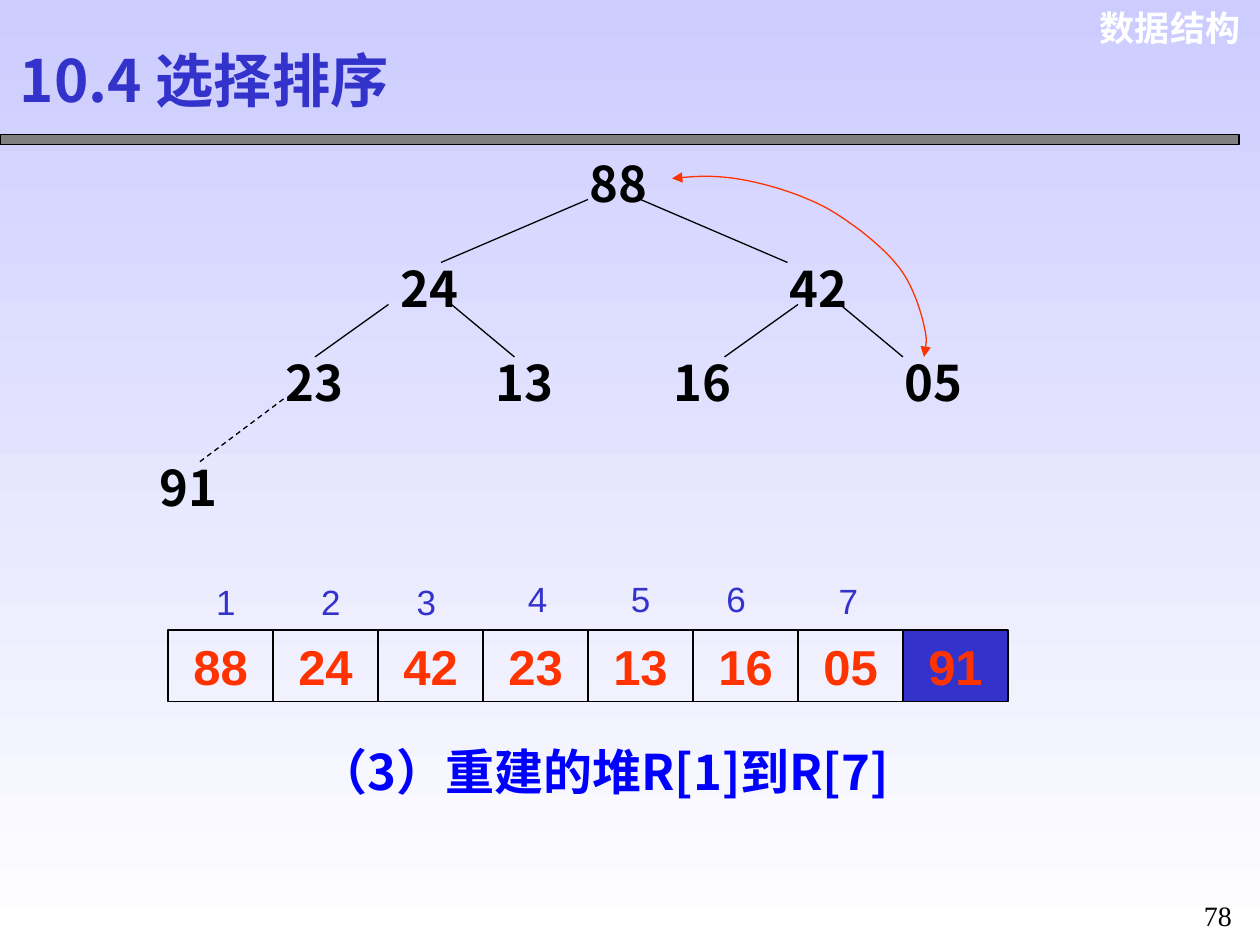
from lxml import etree
from pptx import Presentation
from pptx.dml.color import RGBColor
from pptx.enum.dml import MSO_LINE
from pptx.enum.shapes import MSO_CONNECTOR, MSO_SHAPE
from pptx.enum.text import MSO_ANCHOR, MSO_AUTO_SIZE, PP_ALIGN
from pptx.oxml.ns import qn
from pptx.util import Inches, Pt

LEFT, CENTER, RIGHT = PP_ALIGN.LEFT, PP_ALIGN.CENTER, PP_ALIGN.RIGHT
TOP, MIDDLE = MSO_ANCHOR.TOP, MSO_ANCHOR.MIDDLE
RECTANGLE, STRAIGHT = MSO_SHAPE.RECTANGLE, MSO_CONNECTOR.STRAIGHT
DASH, FIXED = MSO_LINE.DASH, MSO_AUTO_SIZE.NONE

COLUMNS, ROWS = 120, 90
UNIT = Inches(10) / COLUMNS
CJK, SANS, SERIF = "Noto Sans CJK SC", "Arial", "Times New Roman"
BLACK, WHITE, INDIGO, RED = "000000", "FFFFFF", "3333CC", "FF3300"

NODES = [("88", 41, 0), ("24", 23, 10), ("42", 60, 10), ("23", 12, 19),
         ("13", 32, 19), ("16", 49, 19), ("05", 71, 19), ("91", 0, 29)]
EDGES = [(42, 5, 28, 11), (47, 5, 61, 11), (23, 15, 16, 20),
         (29, 15, 35, 20), (62, 15, 55, 20), (66, 15, 72, 20)]
REMOVED_EDGE = (13, 24, 5, 30)
SWAP_CURVE = [(74, 20), (74.2, 19.1), (74.3, 18.3), (74, 17), (73.7, 15.6),
              (73, 13.5), (72, 12), (71, 10.5), (69.5, 9.2), (68, 8),
              (66.5, 6.9), (65, 5.8), (63, 5), (61, 4.1), (58.1, 3.3),
              (56, 3), (53.8, 2.7), (51.9, 2.8), (50, 3)]
KEYS = ["88", "24", "42", "23", "13", "16", "05", "91"]
INDEX_PLACES = [(3.4, 0.7), (13.4, 0.7), (22.5, 0.7), (33.1, 0.4),
                (42.9, 0.4), (52, 0.4), (62.7, 0.6)]


def color(value):
    return RGBColor.from_string(value)


def grid(*cells):
    return [round(cell * UNIT) for cell in cells]


def write(shape, text, size, font, ink, bold=True, align=LEFT, anchor=TOP,
          wrap=True, spacing=None):
    frame = shape.text_frame
    frame.word_wrap = wrap
    frame.auto_size = FIXED
    frame.vertical_anchor = anchor
    frame.text = text
    paragraph = frame.paragraphs[0]
    paragraph.alignment = align
    paragraph.space_before = Pt(0)
    if spacing:
        paragraph.line_spacing = spacing
    paragraph.font.size = Pt(size)
    paragraph.font.bold = bold
    paragraph.font.name = font
    paragraph.font.color.rgb = color(ink)
    defaults = paragraph._p.pPr.find(qn("a:defRPr"))
    etree.SubElement(defaults, qn("a:ea")).set("typeface", CJK)


def label(slide, box, *args, **style):
    write(slide.shapes.add_textbox(*grid(*box)), *args, **style)


def outline(shape, ink=BLACK):
    shape.line.color.rgb = color(ink)
    shape.line.width = Pt(0.75)


def rectangle(slide, box, fill=None):
    shape = slide.shapes.add_shape(RECTANGLE, *grid(*box))
    shape.shadow.inherit = False
    outline(shape)
    if fill:
        shape.fill.solid()
        shape.fill.fore_color.rgb = color(fill)
    else:
        shape.fill.background()
    return shape


def edge(slide, left, top, ends, dash=None):
    x1, y1, x2, y2 = ends
    line = slide.shapes.add_connector(
        STRAIGHT, *grid(left + x1, top + y1, left + x2, top + y2))
    outline(line)
    if dash:
        line.line.dash_style = dash
    etree.SubElement(line._element.spPr, qn("a:effectLst"))


def swap_arrow(slide, left, top):
    start, *controls = [grid(left + x, top + y) for x, y in SWAP_CURVE]
    builder = slide.shapes.build_freeform(*start)
    builder.add_line_segments(controls, close=False)
    arrow = builder.convert_to_shape()
    arrow.shadow.inherit = False
    arrow.fill.background()
    outline(arrow, RED)
    segments = list(arrow._element.iter(qn("a:lnTo")))
    for first in range(0, len(segments), 3):
        curve = etree.Element(qn("a:cubicBezTo"))
        segments[first].addprevious(curve)
        for segment in segments[first:first + 3]:
            curve.append(segment[0])
            segment.getparent().remove(segment)
    for end in ("a:headEnd", "a:tailEnd"):
        etree.SubElement(arrow.line._get_or_add_ln(), qn(end)).set("type", "triangle")


def paint_background(slide):
    fill = slide.background.fill
    fill.gradient()
    fill.gradient_angle = 270
    for stop, position, ink in zip(fill.gradient_stops, (0, 1), ("CCCCFF", WHITE)):
        stop.position = position
        stop.color.rgb = color(ink)


def header(slide, left, top, width):
    label(slide, (left + width - 17.2, top, 16.5, 5.3), "数据结构", 20, SANS, WHITE,
          align=RIGHT)
    rectangle(slide, (left, top + 12.8, width - 2, 1), "808080")
    title = slide.shapes.title
    title.left, title.top, title.width, title.height = grid(left + 0.7, top + 3.5, 44.6, 9)
    write(title, "10.4 选择排序", 33.3, CJK, INDIGO, anchor=MIDDLE, spacing=0.9)


def heap_tree(slide, left, top):
    for key, x, y in NODES:
        label(slide, (left + x, top + y, 8, 6.8), key, 28, CJK, BLACK)
    for ends in EDGES:
        edge(slide, left, top, ends)
    edge(slide, left, top, REMOVED_EDGE, DASH)
    swap_arrow(slide, left, top)


def key_array(slide, left, top, width):
    cell = width / len(KEYS)
    for position, key in enumerate(KEYS):
        fill = INDIGO if key == KEYS[-1] else None
        box = rectangle(slide, (left + position * cell, top + 6, cell, 6.8), fill)
        write(box, key, 28, SANS, RED, align=CENTER)
    for index, (x, y) in enumerate(INDEX_PLACES, 1):
        label(slide, (left + x, top + y, 4.2, 5.3), str(index), 20, SANS, INDIGO,
              bold=False, wrap=False)


def footer(slide, left, top):
    label(slide, (left, top, 69, 6.8), "（3）重建的堆R[1]到R[7]", 28, CJK, "0000FF",
          align=CENTER)
    label(slide, (left + 90, top + 14, 6, 5.4), "78", 16, SERIF, BLACK,
          bold=False, align=CENTER, spacing=1.3)


def main():
    deck = Presentation()
    deck.slide_width, deck.slide_height = grid(COLUMNS, ROWS)
    slide = deck.slides.add_slide(deck.slide_layouts[5])
    paint_background(slide)
    header(slide, 0, 0, COLUMNS)
    heap_tree(slide, 14, 14)
    key_array(slide, 16, 54, 80)
    footer(slide, 23, 70)
    deck.save("out.pptx")


if __name__ == "__main__":
    main()
